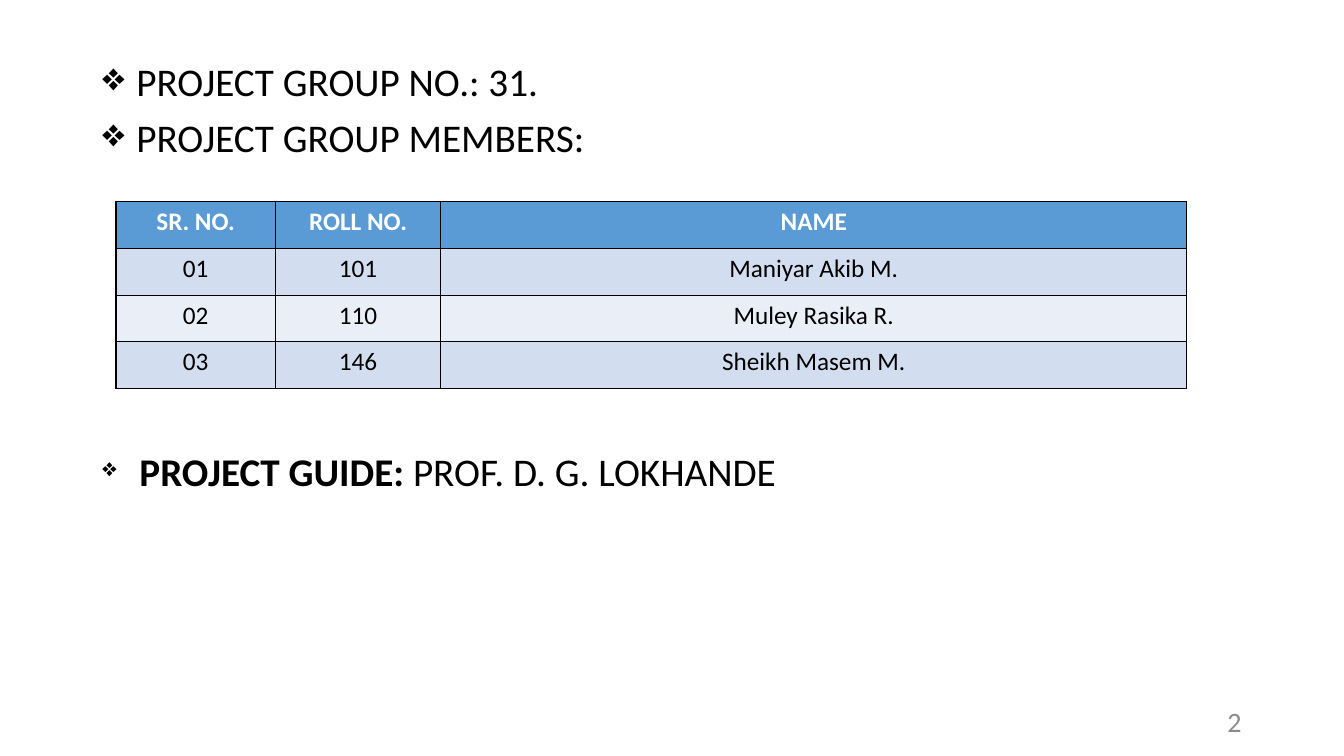
from lxml import etree
from pptx import Presentation
from pptx.dml.color import RGBColor
from pptx.enum import text
from pptx.oxml import ns
from pptx.util import Pt

BLACK, WHITE, GREY = "000000", "FFFFFF", "8C8C8C"
HEADER, BAND_DARK, BAND_LIGHT = "5B9BD5", "D2DEEF", "EAEFF7"
LEFT, CENTER, RIGHT = text.PP_ALIGN.LEFT, text.PP_ALIGN.CENTER, text.PP_ALIGN.RIGHT


def color(value):
    return RGBColor.from_string(value)


def write(p, content, size=28, bold=False, fill=BLACK, align=LEFT, indent=0):
    """Add a run to a paragraph; an indent in points also gives it a bullet."""
    r = p.add_run()
    r.text = content
    r.font.name, r.font.size, r.font.bold = "Calibri", Pt(size), bold
    r.font.color.rgb = color(fill)
    p.alignment = align
    if indent:
        pPr = p._p.get_or_add_pPr()
        pPr.set("marL", str(Pt(indent)))
        pPr.set("indent", str(-Pt(indent)))
        etree.SubElement(pPr, ns.qn("a:buChar")).set("char", "❖")


prs = Presentation()
prs.slide_width, prs.slide_height = Pt(960), Pt(540)
s = prs.slides.add_slide(prs.slide_layouts[6])

# Project group
tf = s.shapes.add_textbox(Pt(66), Pt(41), Pt(825), Pt(446)).text_frame
tf.word_wrap = True
for i, line in enumerate((" PROJECT GROUP NO.: 31.", " PROJECT GROUP MEMBERS:")):
    p = tf.add_paragraph() if i else tf.paragraphs[0]
    p.line_spacing, p.space_before = 0.9, Pt(10)
    write(p, line, indent=18)

# Members table
members = [
    ("SR. NO.", "ROLL NO.", "NAME"),
    ("01", "101", "Maniyar Akib M."),
    ("02", "110", "Muley Rasika R."),
    ("03", "146", "Sheikh Masem M."),
]
widths, row_height = (114, 118, 533), 33.4
table = s.shapes.add_table(len(members), len(widths), Pt(82.8), Pt(144),
                           Pt(sum(widths)), Pt(row_height * len(members))).table
for column, width in zip(table.columns, widths):
    column.width = Pt(width)
for i, row in enumerate(members):
    table.rows[i].height = Pt(row_height)
    band = HEADER if i == 0 else BAND_DARK if i % 2 else BAND_LIGHT
    for j, content in enumerate(row):
        cell = table.cell(i, j)
        write(cell.text_frame.paragraphs[0], content, size=18, bold=i == 0,
              fill=BLACK if i else WHITE, align=CENTER)
        # Borders come before the fill in the cell properties
        tcPr = cell._tc.get_or_add_tcPr()
        for side in ("lnL", "lnR", "lnT", "lnB"):
            ln = etree.SubElement(tcPr, ns.qn("a:" + side), w=str(Pt(1)))
            solid = etree.SubElement(ln, ns.qn("a:solidFill"))
            etree.SubElement(solid, ns.qn("a:srgbClr"), val=BLACK)
        cell.fill.solid()
        cell.fill.fore_color.rgb = color(band)

# Project guide
tf = s.shapes.add_textbox(Pt(66), Pt(316), Pt(637), Pt(41)).text_frame
tf.word_wrap = True
p = tf.paragraphs[0]
write(p, " ", size=18, indent=22.5)
write(p, "PROJECT GUIDE: ", bold=True)
write(p, "PROF. D. G. LOKHANDE")

# Slide number
tf = s.shapes.add_textbox(Pt(678), Pt(500.5), Pt(216), Pt(28.75)).text_frame
tf.word_wrap = True
tf.vertical_anchor = text.MSO_ANCHOR.MIDDLE
write(tf.paragraphs[0], "2", size=20, fill=GREY, align=RIGHT)

prs.save("out.pptx")
